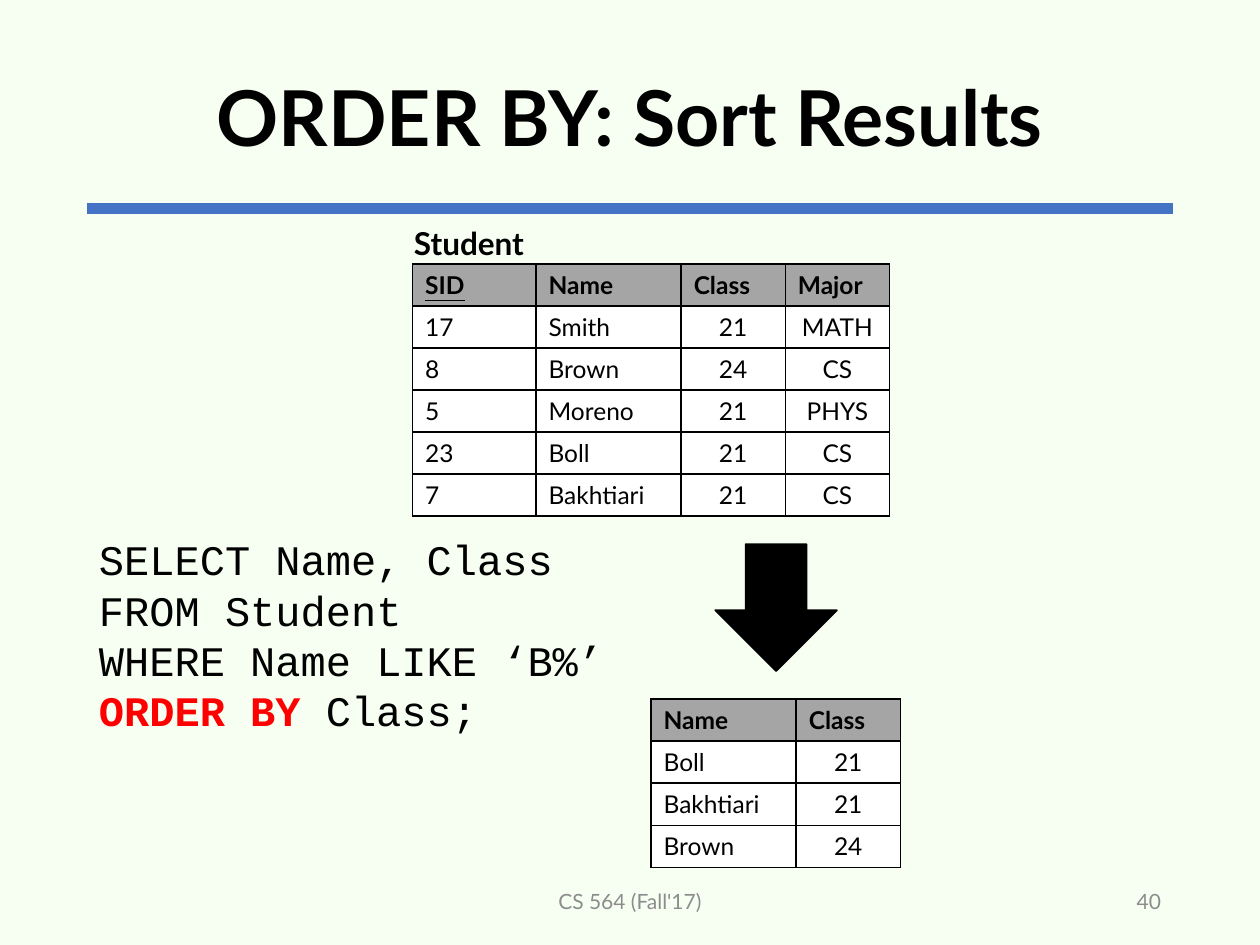
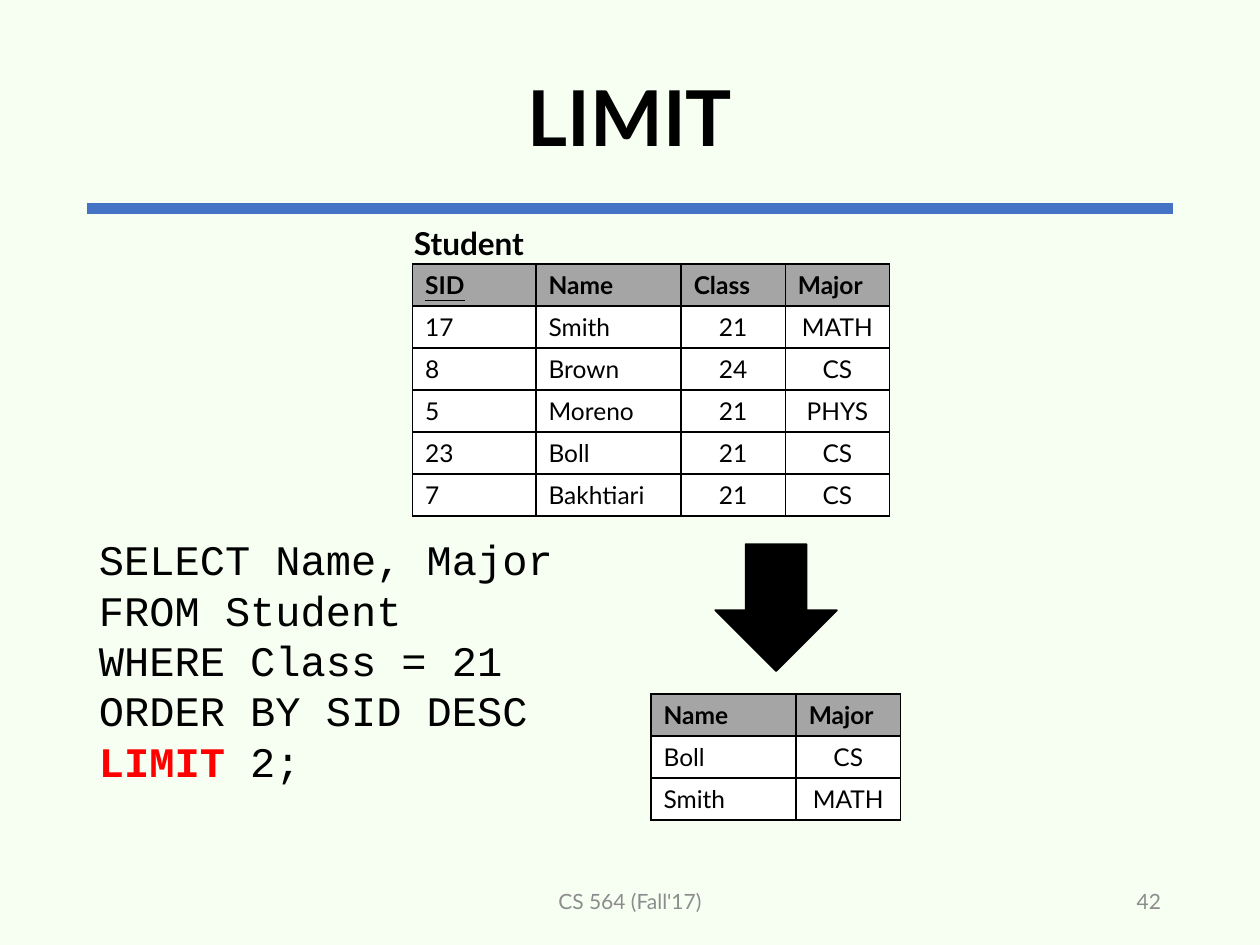
from lxml.etree import SubElement
from pptx import Presentation
from pptx.dml.color import RGBColor
from pptx.enum.shapes import MSO_CONNECTOR, MSO_SHAPE
from pptx.enum.text import MSO_ANCHOR, PP_ALIGN
from pptx.oxml.ns import qn
from pptx.util import Pt

BACKGROUND, RULE, HEADER = "F7FFF3", "4472C4", "A5A5A5"
BLACK, WHITE, RED, GREY = "000000", "FFFFFF", "FF0000", "8C8C8C"
SANS, MONO = "Lato", "Courier New"
TITLE_ONLY = 5
MARGIN, CONTENT_WIDTH = 49.5, 621
FOOTER_TOP, FOOTER_HEIGHT = 500.5, 28.75
ROW_HEIGHT = 24
COLUMN_WIDTHS = {"SID": 70.5, "Name": 83, "Class": 59.5, "Major": 59.5}
CENTERED_COLUMNS = ("Class", "Major")
KEY_COLUMN = "SID"

STUDENTS = [
    ("SID", "Name", "Class", "Major"),
    ("17", "Smith", "21", "MATH"),
    ("8", "Brown", "24", "CS"),
    ("5", "Moreno", "21", "PHYS"),
    ("23", "Boll", "21", "CS"),
    ("7", "Bakhtiari", "21", "CS"),
]


def rgb(value):
    return RGBColor.from_string(value)


def set_font(font, size, name=SANS, color=BLACK, bold=False):
    font.size, font.name, font.bold = Pt(size), name, bold
    font.color.rgb = rgb(color)


def add_title(slide, text):
    title = slide.shapes.title
    title.left, title.top = Pt(MARGIN), Pt(17.25)
    title.width, title.height = Pt(CONTENT_WIDTH), Pt(104.4)
    title.text_frame.vertical_anchor = MSO_ANCHOR.MIDDLE
    paragraph = title.text_frame.paragraphs[0]
    paragraph.text = text
    paragraph.alignment = PP_ALIGN.CENTER
    paragraph.line_spacing = 0.9
    set_font(paragraph.font, 44, bold=True)


def add_title_rule(slide):
    rule = slide.shapes.add_connector(
        MSO_CONNECTOR.STRAIGHT, Pt(MARGIN), Pt(119.25), Pt(MARGIN + CONTENT_WIDTH), Pt(119.25))
    rule.line.color.rgb = rgb(RULE)
    rule.line.width = Pt(6)
    SubElement(rule._element.spPr, qn("a:effectLst"))


def add_text_box(slide, left, top, width, height, wrap=True):
    box = slide.shapes.add_textbox(Pt(left), Pt(top), Pt(width), Pt(height))
    box.text_frame.word_wrap = wrap
    return box.text_frame


def add_footer_text(slide, text, left, width, alignment):
    frame = add_text_box(slide, left, FOOTER_TOP, width, FOOTER_HEIGHT)
    frame.vertical_anchor = MSO_ANCHOR.MIDDLE
    paragraph = frame.paragraphs[0]
    paragraph.text = text
    paragraph.alignment = alignment
    set_font(paragraph.font, 12, color=GREY)


def add_table_name(slide, text):
    paragraph = add_text_box(slide, 229.5, 124.5, 78, 29, wrap=False).paragraphs[0]
    paragraph.text = text
    set_font(paragraph.font, 18, bold=True)


def add_query(slide, lines, keyword, rest):
    """Add SQL lines, the last of which starts with a highlighted keyword."""
    frame = add_text_box(slide, MARGIN, 301.5, 432, 16 + 28.8 * (len(lines) + 1))
    for index, line in enumerate([*lines, None]):
        paragraph = frame.paragraphs[0] if index == 0 else frame.add_paragraph()
        paragraph.line_spacing = Pt(28.8)
        if line is not None:
            paragraph.text = line
            set_font(paragraph.font, 24, MONO)
            continue
        for text, color, bold in ((keyword, RED, True), (rest, BLACK, False)):
            run = paragraph.add_run()
            run.text = text
            set_font(run.font, 24, MONO, color, bold)


def add_down_arrow(slide):
    arrow = slide.shapes.add_shape(MSO_SHAPE.DOWN_ARROW, Pt(408.75), Pt(311), Pt(69.5), Pt(72.5))
    arrow.shadow.inherit = False
    arrow.fill.solid()
    arrow.fill.fore_color.rgb = rgb(BLACK)
    arrow.line.color.rgb = rgb(BLACK)
    arrow.line.width = Pt(1)


def add_cell_borders(cell):
    properties = cell._tc.get_or_add_tcPr()
    for side in ("lnL", "lnR", "lnT", "lnB"):
        line = SubElement(properties, qn(f"a:{side}"), w=str(Pt(1)))
        fill = SubElement(line, qn("a:solidFill"))
        SubElement(fill, qn("a:srgbClr"), val=BLACK)


def add_relation(slide, rows, left, top):
    """Add a table whose first row holds the column names."""
    names = rows[0]
    widths = [COLUMN_WIDTHS[name] for name in names]
    table = slide.shapes.add_table(
        len(rows), len(names), Pt(left), Pt(top),
        Pt(sum(widths)), Pt(ROW_HEIGHT * len(rows))).table
    for column, width in zip(table.columns, widths):
        column.width = Pt(width)
    for row_index, row in enumerate(rows):
        is_header = row_index == 0
        table.rows[row_index].height = Pt(ROW_HEIGHT)
        for column_index, (name, text) in enumerate(zip(names, row)):
            cell = table.cell(row_index, column_index)
            add_cell_borders(cell)
            cell.fill.solid()
            cell.fill.fore_color.rgb = rgb(HEADER if is_header else WHITE)
            paragraph = cell.text_frame.paragraphs[0]
            paragraph.text = text
            set_font(paragraph.font, 14, bold=is_header)
            if is_header and name == KEY_COLUMN:
                paragraph.font.underline = True
            if not is_header and name in CENTERED_COLUMNS:
                paragraph.alignment = PP_ALIGN.CENTER


def add_query_slide(presentation, title, number, query, result, result_top):
    slide = presentation.slides.add_slide(presentation.slide_layouts[TITLE_ONLY])
    add_title_rule(slide)
    add_title(slide, title)
    add_footer_text(slide, "CS 564 (Fall'17)", 238.5, 243, PP_ALIGN.CENTER)
    add_footer_text(slide, number, 508.5, 162, PP_ALIGN.RIGHT)
    add_query(slide, *query)
    add_down_arrow(slide)
    add_relation(slide, STUDENTS, 235.75, 150.75)
    add_table_name(slide, "Student")
    add_relation(slide, result, 372, result_top)


def main():
    presentation = Presentation()
    presentation.slide_width, presentation.slide_height = Pt(720), Pt(540)
    background = presentation.slide_master.background.fill
    background.solid()
    background.fore_color.rgb = rgb(BACKGROUND)

    add_query_slide(
        presentation, "ORDER BY: Sort Results", "40",
        (["SELECT Name, Class", "FROM Student", "WHERE Name LIKE ‘B%’"], "ORDER BY ", "Class;"),
        [("Name", "Class"), ("Boll", "21"), ("Bakhtiari", "21"), ("Brown", "24")], 399.5)
    add_query_slide(
        presentation, "LIMIT", "42",
        (["SELECT Name, Major", "FROM Student", "WHERE Class = 21", "ORDER BY SID DESC"],
         "LIMIT", " 2;"),
        [("Name", "Major"), ("Boll", "CS"), ("Smith", "MATH")], 396.5)
    presentation.save("out.pptx")


if __name__ == "__main__":
    main()
